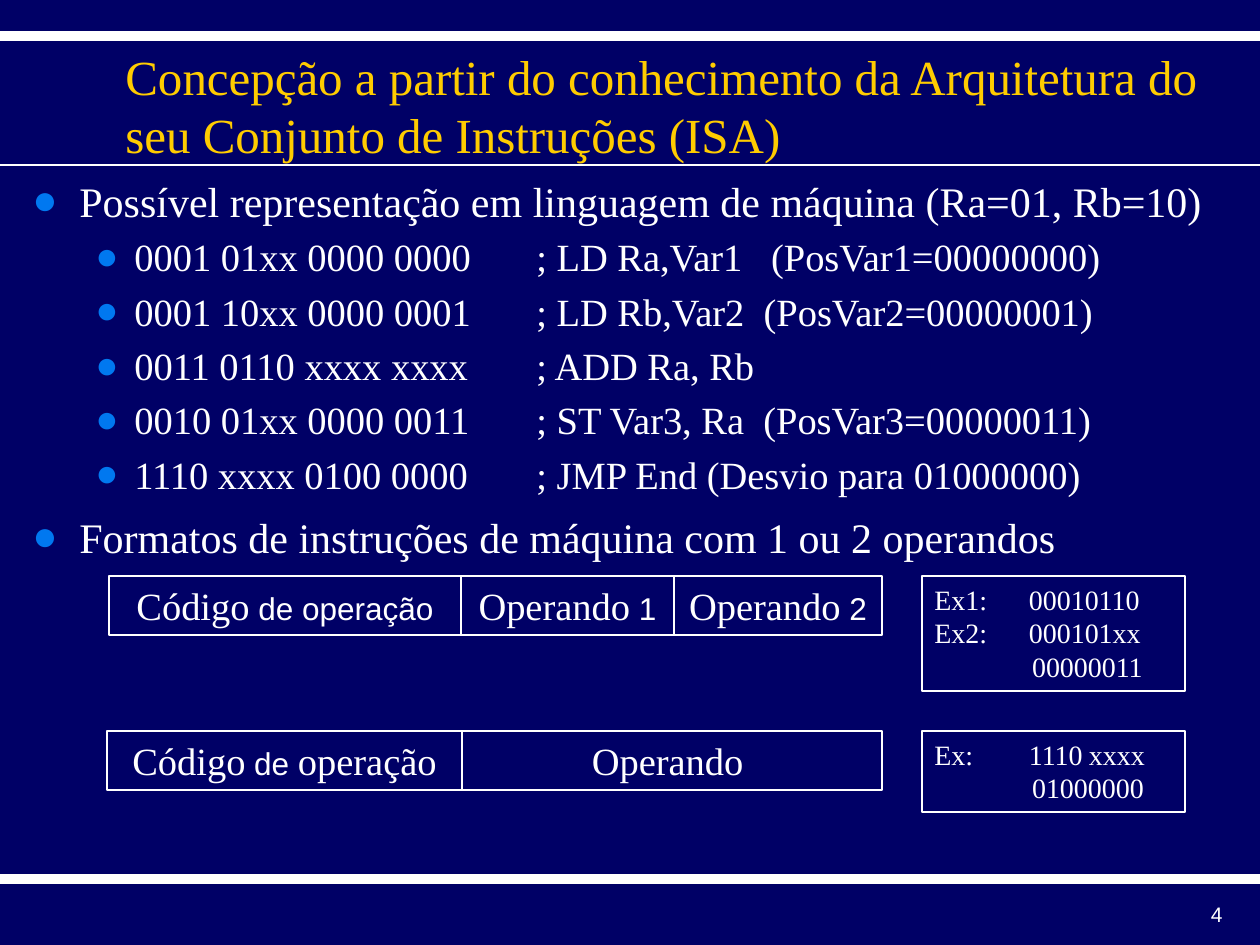
"""Build a slide on machine language formats for an instruction set."""
import pptx
import pptx.util
import pptx.dml.color
import pptx.enum.shapes
import pptx.enum.text
import pptx.oxml
import pptx.oxml.ns
import lxml.etree

PX = 914400 / 126
Pt = pptx.util.Pt
ALIGN = pptx.enum.text.PP_ALIGN
SERIF, SANS = "Times New Roman", "Arial"
qn = pptx.oxml.ns.qn


def place(*vals):
    return [round(v * PX) for v in vals]


def write(para, parts, ink="FFFFFF"):
    for text, size, face in parts:
        run = para.add_run()
        run.text = text
        run.font.size = Pt(size)
        run.font.name = face
        run.font.color.rgb = pptx.dml.color.RGBColor.from_string(ink)


deck = pptx.Presentation()
deck.slide_width, deck.slide_height = place(1260, 945)
slide = deck.slides.add_slide(deck.slide_layouts[6])
shapes = slide.shapes
white = pptx.dml.color.RGBColor.from_string("FFFFFF")
slide.background.fill.solid()
slide.background.fill.fore_color.rgb = pptx.dml.color.RGBColor.from_string("000066")

for y, width in [(879, 6), (36, 6), (165, 0.75)]:
    rule = shapes.add_connector(pptx.enum.shapes.MSO_CONNECTOR.STRAIGHT, *place(0, y, 1260, y))
    rule.line.color.rgb = white
    rule.line.width = Pt(width)
    lxml.etree.SubElement(rule._element.spPr, qn("a:effectLst"))

number = shapes.add_textbox(*place(941, 895, 294, 35)).text_frame
number.word_wrap = True
number.paragraphs[0].alignment = ALIGN.RIGHT
write(number.paragraphs[0], [("4", 12, SANS)])

title = shapes.add_textbox(*place(113, 55, 1143, 100)).text_frame
title.word_wrap = True
title.vertical_anchor = pptx.enum.text.MSO_ANCHOR.MIDDLE
head = "Concepção a partir do conhecimento da Arquitetura do seu Conjunto de Instruções (ISA)"
write(title.paragraphs[0], [(head, 28, SERIF)], "FFCC00")

points = [
    (0, "Possível representação em linguagem de máquina (Ra=01, Rb=10)"),
    (1, "0001 01xx 0000 0000\t\t; LD Ra,Var1   (PosVar1=00000000)"),
    (1, "0001 10xx 0000 0001\t\t; LD Rb,Var2  (PosVar2=00000001)"),
    (1, "0011 0110 xxxx xxxx\t\t; ADD Ra, Rb"),
    (1, "0010 01xx 0000 0011\t\t; ST Var3, Ra  (PosVar3=00000011)"),
    (1, "1110 xxxx 0100 0000\t\t; JMP End (Desvio para 01000000)"),
    (0, "Formatos de instruções de máquina com 1 ou 2 operandos"),
]
body = shapes.add_textbox(*place(20, 165, 1230, 694)).text_frame
body.word_wrap = True
for i, (level, text) in enumerate(points):
    para = body.add_paragraph() if i else body.paragraphs[0]
    para.level = level
    para.line_spacing = Pt(31)
    para.space_before = Pt(6 if i == len(points) - 1 else 0)
    write(para, [(text, (24, 22)[level], SERIF)])
    props = para._p.get_or_add_pPr()
    left, hang = place(*[(47, 47), (102, 39)][level])
    props.set("marL", str(left))
    props.set("indent", str(-hang))
    tint = lxml.etree.SubElement(props, qn("a:buClr"))
    lxml.etree.SubElement(tint, qn("a:srgbClr"), val="0078F0")
    lxml.etree.SubElement(props, qn("a:buFont"), typeface=SERIF)
    lxml.etree.SubElement(props, qn("a:buChar"), char="●")

code = ("Código", 22, SERIF)
term = ("Operando", 22, SERIF)
top, low = 576, 731
boxes = [
    (109, top, 352, 59, ALIGN.CENTER, [[code, (" de operação", 18, SANS)]]),
    (461, top, 213, 59, ALIGN.CENTER, [[term, (" 1", 18, SANS)]]),
    (674, top, 208, 59, ALIGN.CENTER, [[term, (" 2", 18, SANS)]]),
    (107, low, 355, 59, ALIGN.CENTER, [[code, (" de ", 18, SANS), ("operação", 22, SERIF)]]),
    (462, low, 420, 59, ALIGN.CENTER, [[term, (" ", 18, SANS)]]),
    (922, top, 263, 115, ALIGN.LEFT, [
        [("Ex1:      00010110", 16, SERIF)],
        [("Ex2:      000101xx", 16, SERIF)],
        [("              00000011", 16, SERIF)]]),
    (922, low, 263, 81, ALIGN.LEFT, [
        [("Ex:        1110", 16, SERIF), (" ", 14, SERIF), ("xxxx", 16, SERIF)],
        [("              01000000", 16, SERIF)]]),
]
for x, y, w, h, align, rows in boxes:
    box = shapes.add_shape(pptx.enum.shapes.MSO_SHAPE.RECTANGLE, *place(x, y, w, h))
    box.shadow.inherit = False
    box.fill.background()
    box.line.color.rgb = white
    box.line.width = Pt(0.75)
    frame = box.text_frame
    frame.word_wrap = True
    frame.vertical_anchor = pptx.enum.text.MSO_ANCHOR.TOP
    for i, parts in enumerate(rows):
        para = frame.add_paragraph() if i else frame.paragraphs[0]
        para.alignment = align
        write(para, parts)

deck.save("out.pptx")
